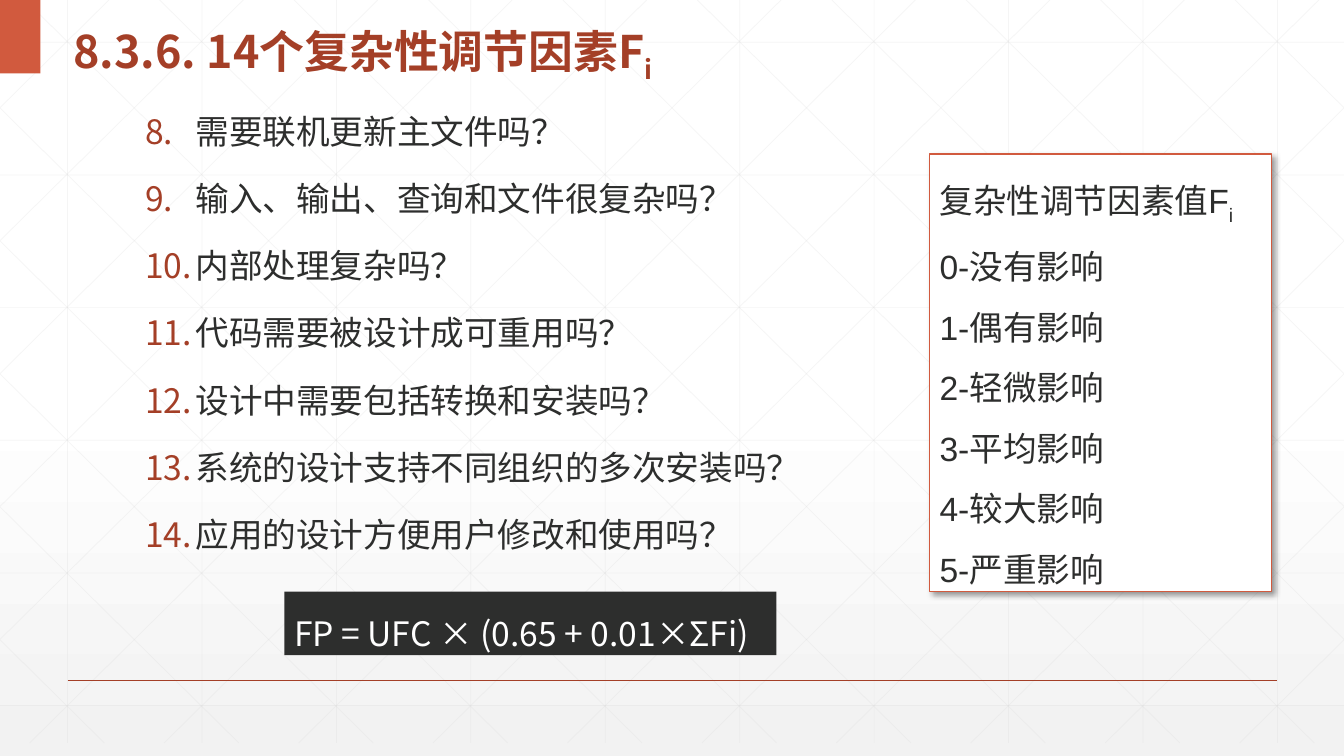
"""Build the slide on complexity adjustment factors."""
from dataclasses import dataclass

from lxml.etree import SubElement
from pptx import Presentation
from pptx.dml.color import RGBColor as Rgb
from pptx.enum.shapes import MSO_CONNECTOR as Connector, MSO_SHAPE as Preset
from pptx.enum.text import MSO_ANCHOR as Anchor
from pptx.oxml.ns import qn
from pptx.shapes.autoshape import Shape
from pptx.slide import Slide
from pptx.util import Inches, Length, Pt


@dataclass(frozen=True)
class Theme:
    """Colours, fonts and type sizes of the deck."""
    accent: str = "D15A3E"
    dark_accent: str = "A43F27"
    ink: str = "2D2E2D"
    white: str = "FFFFFF"
    mist: str = "F2F2F2"
    grid: str = "D9D9D9"
    shadow: str = "000000"
    sans: str = "Noto Sans CJK SC"
    plain: str = "Arial"
    title_size: int = 32
    body_size: int = 24


@dataclass(frozen=True)
class Area:
    """Place and size in inches."""
    left: float
    top: float
    width: float
    height: float

    def lengths(self) -> list[Length]:
        """Return the four values as lengths."""
        return [Inches(n) for n in (self.left, self.top, self.width, self.height)]


@dataclass(frozen=True)
class Style:
    """Look of a block of text."""
    font: str
    size: int
    color: str
    bold: bool = False
    spacing: float | Length = 1.5
    gap: int = 0
    first_number: int | None = None
    anchor: Anchor = Anchor.MIDDLE
    wrap: bool = True


@dataclass(frozen=True)
class Line:
    """One paragraph with an optional subscript at its end."""
    text: str
    subscript: str = ""


THEME = Theme()
WIDTH, HEIGHT = 13.33, 7.5
GRID_BOTTOM, GRID_STEP, GRID_ROW = 7.37, 4 / 3, 1.316
SLOPE = 1.011

TITLE = [Line("8.3.6. 14个复杂性调节因素F", "i")]
QUESTIONS = [Line(text) for text in (
    "需要联机更新主文件吗？",
    "输入、输出、查询和文件很复杂吗？",
    "内部处理复杂吗？",
    "代码需要被设计成可重用吗？",
    "设计中需要包括转换和安装吗？",
    "系统的设计支持不同组织的多次安装吗？",
    "应用的设计方便用户修改和使用吗？",
)]
LEVELS = ["没有", "偶有", "轻微", "平均", "较大", "严重"]
SCALE = [Line("复杂性调节因素值F", "i")] + [
    Line(f"{value}-{level}影响") for value, level in enumerate(LEVELS)]
FORMULA = [Line("FP = UFC × (0.65 + 0.01×ΣFi)")]


def add_line(page: Slide, start: tuple[float, float], end: tuple[float, float],
             color: str, weight: float, opacity: int = 100) -> None:
    """Draw a straight line without a shadow."""
    line = page.shapes.add_connector(
        Connector.STRAIGHT, *[Inches(n) for n in (*start, *end)])
    line.line.color.rgb = Rgb.from_string(color)
    line.line.width = Pt(weight)
    if opacity < 100:
        tint = line.element.spPr.find(".//" + qn("a:srgbClr"))
        SubElement(tint, qn("a:alpha"), val=str(opacity * 1000))
    SubElement(line.element.spPr, qn("a:effectLst"))


def add_grid(page: Slide) -> None:
    """Draw the faint grid with diagonals clipped to the page."""
    ends = [((x, 0), (x, GRID_BOTTOM))
            for x in (0.67 + GRID_STEP * i for i in range(10))]
    ends += [((0, y), (WIDTH, y)) for y in (0.42 + GRID_ROW * i for i in range(6))]
    for i in range(-5, 10):
        x = 0.25 + GRID_STEP * i
        left, right = max(x, 0), min(x + GRID_BOTTOM * SLOPE, WIDTH)
        top, bottom = (left - x) / SLOPE, (right - x) / SLOPE
        ends += [((left, top), (right, bottom)),
                 ((WIDTH - left, top), (WIDTH - right, bottom))]
    for start, end in ends:
        add_line(page, start, end, THEME.grid, 0.5, 25)


def add_box(page: Slide, area: Area, fill: str, border: str | None = None) -> Shape:
    """Add a plain rectangle."""
    box = page.shapes.add_shape(Preset.RECTANGLE, *area.lengths())
    box.shadow.inherit = False
    box.fill.solid()
    box.fill.fore_color.rgb = Rgb.from_string(fill)
    if border:
        box.line.color.rgb = Rgb.from_string(border)
        box.line.width = Pt(1)
    else:
        box.line.fill.background()
    return box


def add_shadow(box: Shape) -> None:
    """Give a box a soft shadow to the lower right."""
    effects = box.element.spPr.find(qn("a:effectLst"))
    outer = SubElement(effects, qn("a:outerShdw"), blurRad=str(Pt(4)),
                       dist=str(Pt(3)), dir=str(45 * 60000), algn="tl", rotWithShape="0")
    tint = SubElement(outer, qn("a:srgbClr"), val=THEME.shadow)
    SubElement(tint, qn("a:alpha"), val="40000")


def write(box: Shape, lines: list[Line], style: Style) -> None:
    """Fill a box with styled paragraphs."""
    frame = box.text_frame
    frame.word_wrap = style.wrap
    frame.vertical_anchor = style.anchor
    for index, line in enumerate(lines):
        para = frame.paragraphs[0] if index == 0 else frame.add_paragraph()
        para.alignment = 1
        para.line_spacing = style.spacing
        para.space_before = Pt(style.gap if index else 0)
        if style.first_number is not None:
            props = para._p.get_or_add_pPr()
            props.set("marL", str(Inches(0.8)))
            props.set("indent", str(Inches(-0.5)))
            SubElement(SubElement(props, qn("a:buClr")), qn("a:srgbClr"),
                       val=THEME.dark_accent)
            SubElement(props, qn("a:buFont"), typeface=style.font)
            SubElement(props, qn("a:buAutoNum"), type="arabicPeriod",
                       startAt=str(style.first_number))
        for text, baseline in ((line.text, 0), (line.subscript, -25000)):
            if not text:
                continue
            span = para.add_run()
            span.text = text
            span.font.size = Pt(style.size)
            span.font.bold = style.bold
            span.font.color.rgb = Rgb.from_string(style.color)
            span.font.name = style.font
            props = span._r.get_or_add_rPr()
            SubElement(props, qn("a:ea"), typeface=style.font)
            if baseline:
                props.set("baseline", str(baseline))


def main() -> None:
    """Build and save the deck."""
    deck = Presentation()
    deck.slide_width, deck.slide_height = Inches(WIDTH), Inches(HEIGHT)
    page = deck.slides.add_slide(deck.slide_layouts[6])
    fill = page.background.fill
    fill.gradient()
    fill.gradient_angle = 270
    for stop, color, position in zip(
            fill.gradient_stops, (THEME.white, THEME.mist), (0.53, 1)):
        stop.color.rgb = Rgb.from_string(color)
        stop.position = position

    add_grid(page)
    add_line(page, (0.67, 6.75), (12.67, 6.75), THEME.dark_accent, 1)
    add_box(page, Area(0, 0, 0.4, 0.73), THEME.accent)

    title = page.shapes.add_textbox(*Area(0.63, 0.08, 10.06, 0.73).lengths())
    write(title, TITLE, Style(THEME.sans, THEME.title_size, THEME.dark_accent,
                              bold=True, spacing=1.3))
    questions = page.shapes.add_textbox(*Area(1.04, 0.95, 10.5, 4.76).lengths())
    write(questions, QUESTIONS, Style(THEME.sans, THEME.body_size, THEME.ink,
                                      spacing=Pt(36), gap=12, first_number=8,
                                      anchor=Anchor.TOP))
    scale = add_box(page, Area(9.22, 1.53, 3.39, 4.34), THEME.white, THEME.accent)
    add_shadow(scale)
    write(scale, SCALE, Style(THEME.plain, THEME.body_size, THEME.ink))
    formula = add_box(page, Area(2.82, 5.87, 4.88, 0.63), THEME.ink)
    write(formula, FORMULA, Style(THEME.sans, THEME.body_size, THEME.white, wrap=False))
    deck.save("out.pptx")


if __name__ == "__main__":
    main()
